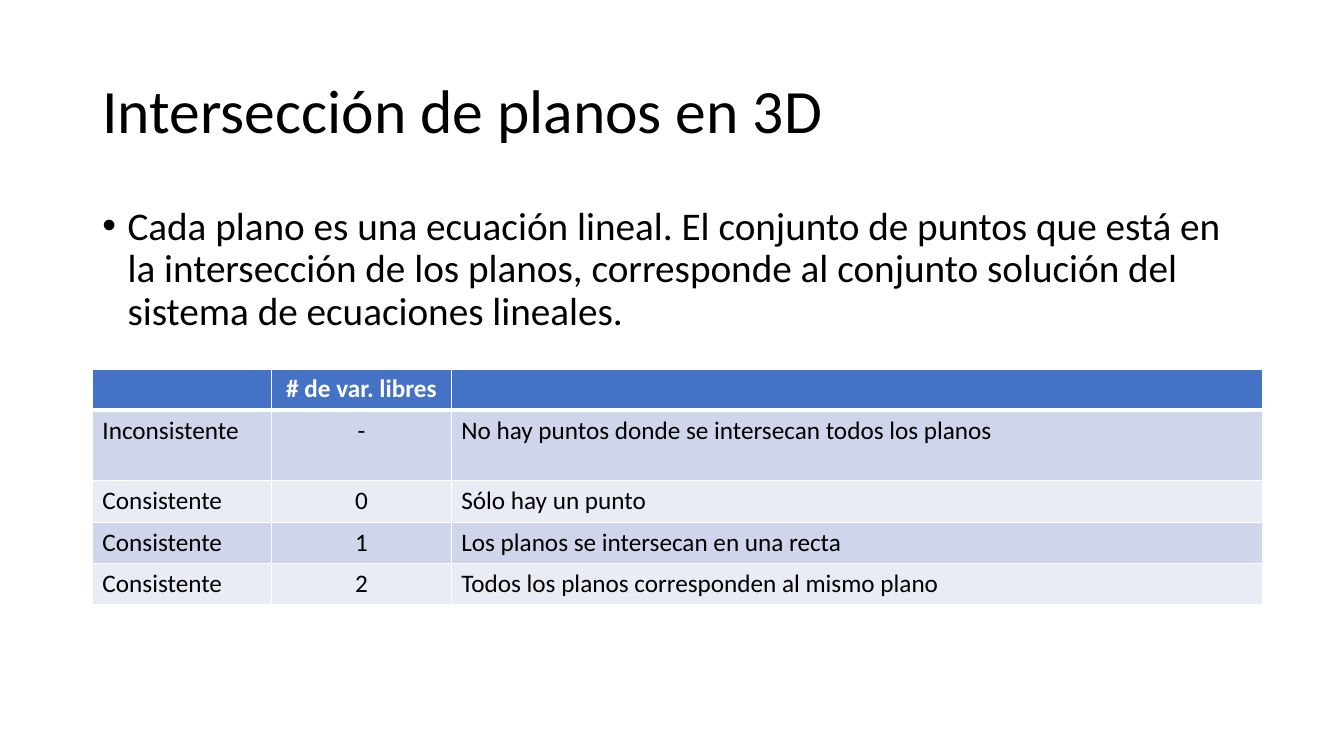
from dataclasses import dataclass

from lxml import etree
from pptx import Presentation
from pptx.dml.color import RGBColor
from pptx.enum.text import MSO_ANCHOR, PP_ALIGN
from pptx.oxml.ns import qn
from pptx.util import Emu, Inches, Pt

LEFT = PP_ALIGN.LEFT
CENTER = PP_ALIGN.CENTER
TOP = MSO_ANCHOR.TOP
MIDDLE = MSO_ANCHOR.MIDDLE

FONT = "Calibri"
BLACK = "000000"
WHITE = "FFFFFF"
HEADER_BLUE = "4472C4"
BANDS = ("CFD5EA", "E9EBF5")

GRID_COLUMNS = 160
GRID_ROWS = 90
SLIDE_WIDTH = Inches(13.33)
SLIDE_HEIGHT = Inches(7.5)

TABLE_LEFT = 11
TABLE_TOP = 43.92
TABLE_COLUMNS = (21.36, 21.36, 96.6)
TABLE_ALIGNMENTS = (LEFT, CENTER, LEFT)
TABLE_ROWS = (4.92, 8.4, 4.92, 4.92, 4.92)
TABLE_TEXTS = (
    ("", "# de var. libres", ""),
    ("Inconsistente", "-", "No hay puntos donde se intersecan todos los planos"),
    ("Consistente", "0", "Sólo hay un punto"),
    ("Consistente", "1", "Los planos se intersecan en una recta"),
    ("Consistente", "2", "Todos los planos corresponden al mismo plano"),
)


@dataclass(frozen=True)
class TextBlock:
    text: str
    left: float
    top: float
    width: float
    height: float
    size: int
    anchor: MSO_ANCHOR
    space_before: int = 0
    bullet: str = ""


TEXT_BLOCKS = (
    TextBlock("Intersección de planos en 3D", 11, 4.8, 138, 17.4, 44, MIDDLE),
    TextBlock(
        "Cada plano es una ecuación lineal. El conjunto de puntos que está en "
        "la intersección de los planos, corresponde al conjunto solución del "
        "sistema de ecuaciones lineales.",
        11, 24, 138, 57.12, 28, TOP, 10, "•",
    ),
)


def across(columns: float) -> Emu:
    return Emu(round(SLIDE_WIDTH * columns / GRID_COLUMNS))


def down(rows: float) -> Emu:
    return Emu(round(SLIDE_HEIGHT * rows / GRID_ROWS))


def color(value: str) -> RGBColor:
    return RGBColor.from_string(value)


def add_span(para, text: str, size: int, ink: str, bold: bool = False) -> None:
    span = para.add_run()
    span.text = text
    span.font.name = FONT
    span.font.size = Pt(size)
    span.font.bold = bold
    span.font.color.rgb = color(ink)


def add_bullet(para, character: str) -> None:
    properties = para._p.get_or_add_pPr()
    properties.set("marL", str(Inches(0.25)))
    properties.set("indent", str(Inches(-0.25)))
    etree.SubElement(properties, qn("a:buFont"), typeface="Arial")
    etree.SubElement(properties, qn("a:buChar"), char=character)


def draw_text(page, block: TextBlock) -> None:
    box = page.shapes.add_textbox(
        across(block.left), down(block.top), across(block.width), down(block.height)
    )
    frame = box.text_frame
    frame.word_wrap = True
    frame.vertical_anchor = block.anchor
    para = frame.paragraphs[0]
    para.line_spacing = 0.9
    para.space_before = Pt(block.space_before)
    if block.bullet:
        add_bullet(para, block.bullet)
    add_span(para, block.text, block.size, BLACK)


def add_border(cell, side: str, width: int) -> None:
    properties = cell._tc.get_or_add_tcPr()
    line = etree.SubElement(properties, qn(f"a:ln{side}"), w=str(Pt(width)))
    fill = etree.SubElement(line, qn("a:solidFill"))
    etree.SubElement(fill, qn("a:srgbClr"), val=WHITE)


def draw_cell(cell, text: str, row: int, alignment: PP_ALIGN) -> None:
    header = row == 0
    widths = {"L": 1, "R": 1, "T": 3 if row == 1 else 1, "B": 3 if header else 1}
    for side, width in widths.items():
        add_border(cell, side, width)
    cell.fill.solid()
    cell.fill.fore_color.rgb = color(HEADER_BLUE if header else BANDS[(row - 1) % 2])
    para = cell.text_frame.paragraphs[0]
    para.alignment = alignment
    if text:
        add_span(para, text, 18, WHITE if header else BLACK, header)


def draw_table(page) -> None:
    table = page.shapes.add_table(
        len(TABLE_ROWS), len(TABLE_COLUMNS), across(TABLE_LEFT), down(TABLE_TOP),
        across(sum(TABLE_COLUMNS)), down(sum(TABLE_ROWS)),
    ).table
    for column, width in zip(table.columns, TABLE_COLUMNS):
        column.width = across(width)
    for row, height in zip(table.rows, TABLE_ROWS):
        row.height = down(height)
    for row, texts in enumerate(TABLE_TEXTS):
        for column, (text, alignment) in enumerate(zip(texts, TABLE_ALIGNMENTS)):
            draw_cell(table.cell(row, column), text, row, alignment)


def main() -> None:
    deck = Presentation()
    deck.slide_width = SLIDE_WIDTH
    deck.slide_height = SLIDE_HEIGHT
    page = deck.slides.add_slide(deck.slide_layouts[6])
    for block in TEXT_BLOCKS:
        draw_text(page, block)
    draw_table(page)
    deck.save("out.pptx")


if __name__ == "__main__":
    main()
